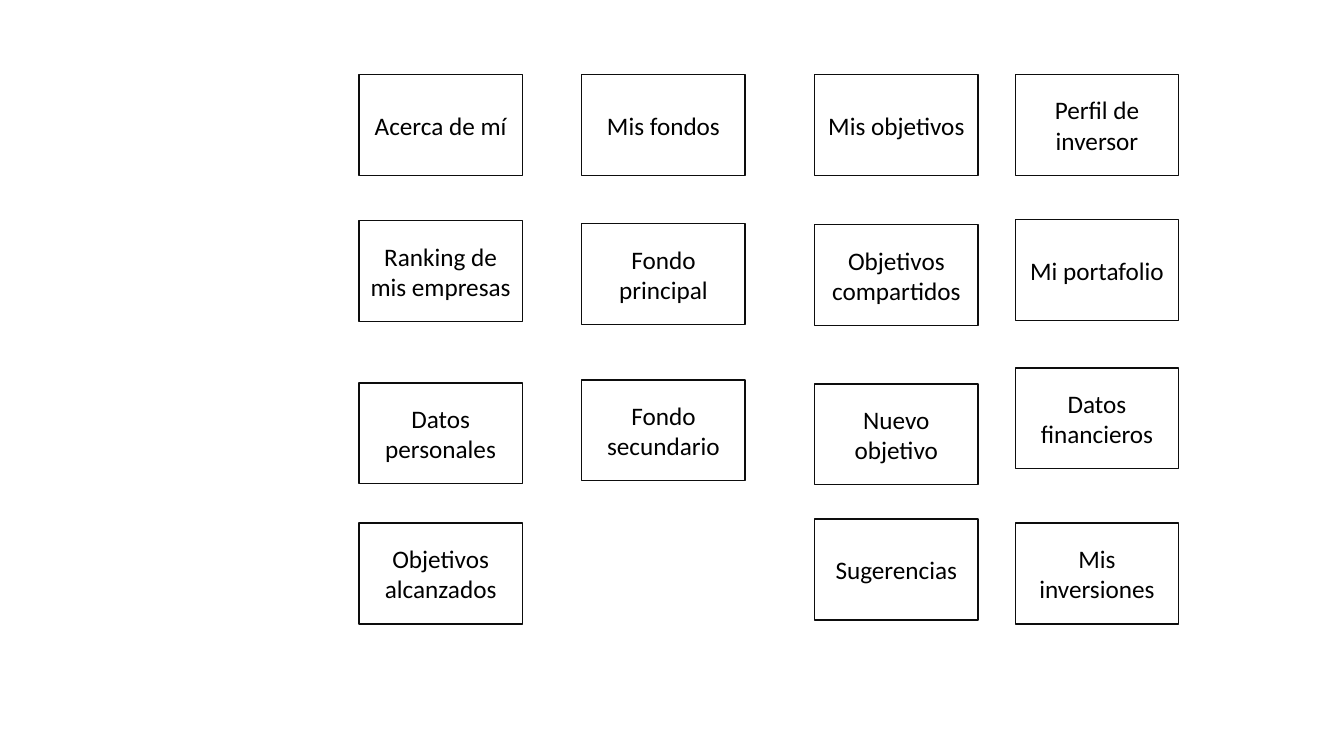
"""Build a slide with four columns of boxes for an investor's menu."""
from pptx import Presentation
from pptx.dml.color import RGBColor
from pptx.enum.shapes import MSO_SHAPE
from pptx.enum.text import MSO_ANCHOR, PP_ALIGN
from pptx.util import Inches, Pt

RECTANGLE = MSO_SHAPE.RECTANGLE
MIDDLE = MSO_ANCHOR.MIDDLE
CENTER = PP_ALIGN.CENTER

BLANK_LAYOUT = 6
BOX_WIDTH, BOX_HEIGHT = 1.62, 1
FONT_FORMAT = {"name": "Calibri", "size": Pt(18)}
FRAME_FORMAT = {"word_wrap": True, "vertical_anchor": MIDDLE}

MENU_COLUMNS = [
    (3.56, [
        (0.74, "Acerca de mí"),
        (2.19, "Ranking de mis empresas"),
        (3.8, "Datos personales"),
        (5.19, "Objetivos alcanzados"),
    ]),
    (5.77, [
        (0.74, "Mis fondos"),
        (2.22, "Fondo principal"),
        (3.77, "Fondo secundario"),
    ]),
    (8.08, [
        (0.74, "Mis objetivos"),
        (2.23, "Objetivos compartidos"),
        (3.81, "Nuevo objetivo"),
        (5.15, "Sugerencias"),
    ]),
    (10.07, [
        (0.74, "Perfil de inversor"),
        (2.18, "Mi portafolio"),
        (3.65, "Datos financieros"),
        (5.19, "Mis inversiones"),
    ]),
]


def color(hex_value):
    """Return the color for a hex string."""
    return RGBColor.from_string(hex_value)


def apply_format(target, values):
    """Set each named attribute on the target."""
    for name, value in values.items():
        setattr(target, name, value)


def add_menu_box(slide, left, top, label):
    """Add an outlined box with a centered label."""
    shape = slide.shapes.add_shape(
        RECTANGLE, Inches(left), Inches(top), Inches(BOX_WIDTH), Inches(BOX_HEIGHT))
    shape.shadow.inherit = False
    shape.fill.background()
    shape.line.color.rgb = color("0D0D0D")
    shape.line.width = Pt(1)
    apply_format(shape.text_frame, FRAME_FORMAT)
    paragraph = shape.text_frame.paragraphs[0]
    paragraph.alignment = CENTER
    run = paragraph.add_run()
    run.text = label
    apply_format(run.font, FONT_FORMAT)
    run.font.color.rgb = color("000000")


def add_menu_column(slide, left, boxes):
    """Add the boxes of one column from top to bottom."""
    for top, label in boxes:
        add_menu_box(slide, left, top, label)


def main():
    """Create and save the presentation."""
    presentation = Presentation()
    presentation.slide_width = Inches(13.33)
    presentation.slide_height = Inches(7.5)
    slide = presentation.slides.add_slide(presentation.slide_layouts[BLANK_LAYOUT])
    for left, boxes in MENU_COLUMNS:
        add_menu_column(slide, left, boxes)
    presentation.save("out.pptx")


main()
